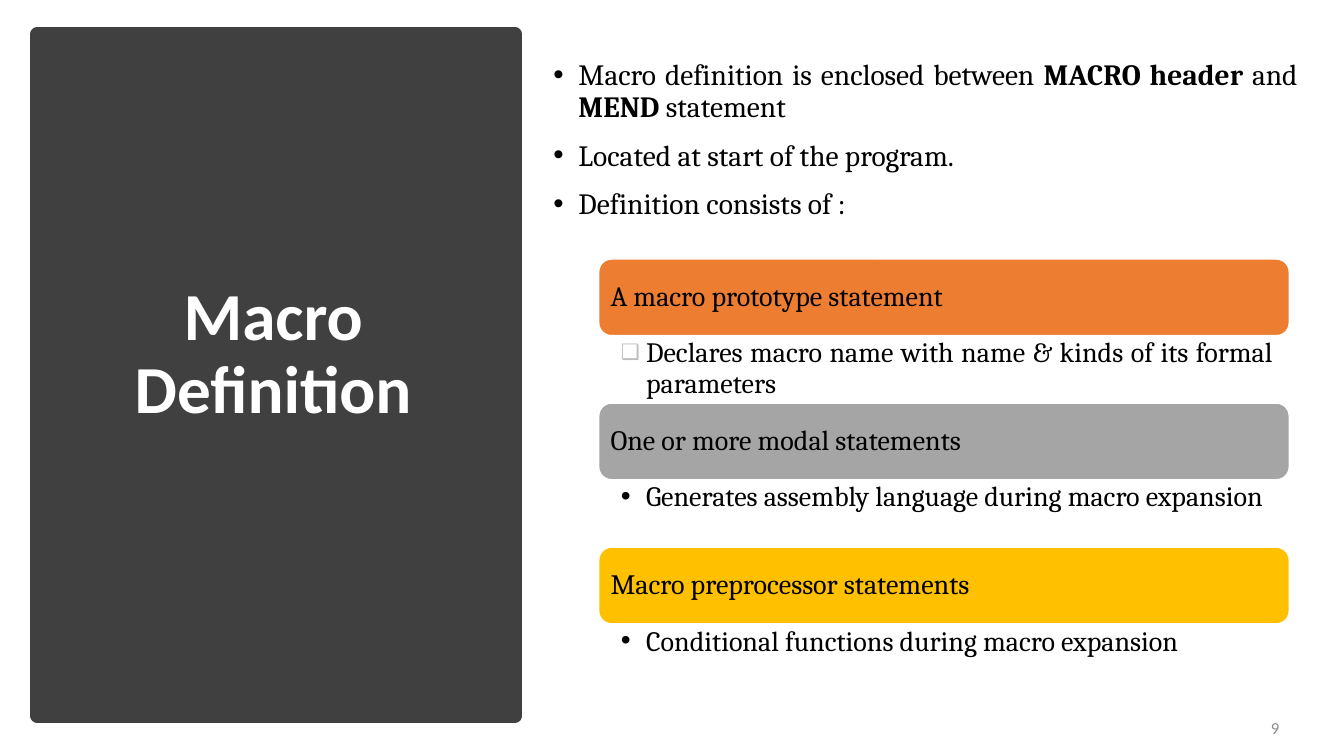
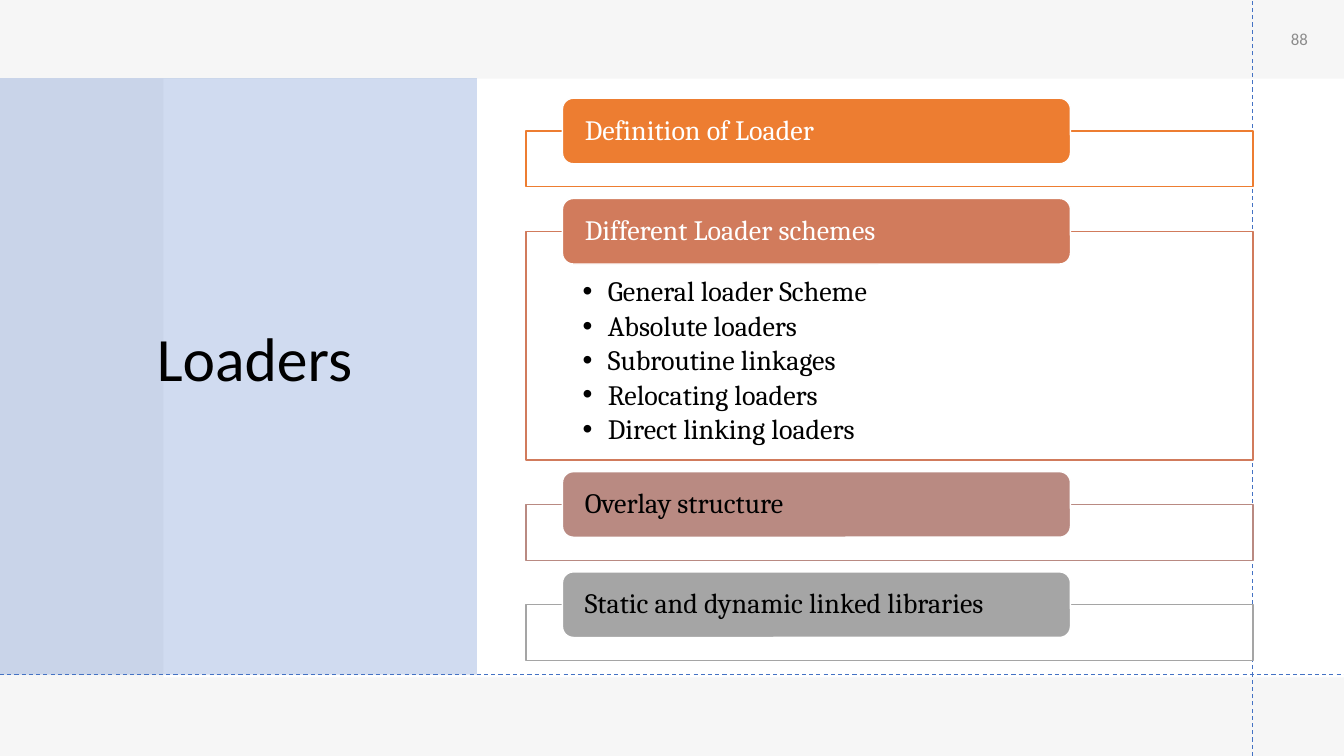
from dataclasses import dataclass

from lxml import etree
from pptx import Presentation
from pptx.dml.color import RGBColor
from pptx.enum.dml import MSO_LINE
from pptx.enum.shapes import MSO_CONNECTOR, MSO_SHAPE
from pptx.enum.text import MSO_ANCHOR, MSO_AUTO_SIZE, PP_ALIGN
from pptx.oxml.ns import qn
from pptx.util import Inches, Pt

RECT, ROUND = MSO_SHAPE.RECTANGLE, MSO_SHAPE.ROUNDED_RECTANGLE
STRAIGHT, DASH = MSO_CONNECTOR.STRAIGHT, MSO_LINE.DASH
TOP, MIDDLE = MSO_ANCHOR.TOP, MSO_ANCHOR.MIDDLE
LEFT, CENTER, RIGHT, JUST = PP_ALIGN.LEFT, PP_ALIGN.CENTER, PP_ALIGN.RIGHT, PP_ALIGN.JUSTIFY
NO_FIT = MSO_AUTO_SIZE.NONE
TITLE_ONLY = 5


@dataclass(frozen=True)
class Theme:
    head: str = "Calibri"
    body: str = "Cambria"
    white: str = "FFFFFF"
    black: str = "000000"
    dark: str = "404040"
    blue: str = "4472C4"
    pale: str = "E7E6E6"
    dim: str = "8C8C8C"
    mark: str = "BDBDBD"
    orange: str = "ED7D31"
    gray: str = "A5A5A5"
    gold: str = "FFC000"
    clay: str = "D17B5C"
    rose: str = "B98A82"
    large: int = 48
    big: int = 44
    lead: int = 21
    text: int = 20
    small: int = 12


THEME = Theme()
DOT = {"sign": "•"}
SQUARE = {"sign": "❑", "color": THEME.mark, "scale": 76}


def apply(target, values):
    for name, value in values.items():
        setattr(target, name, value)


def pads(left, top, right, bottom):
    names = ("margin_left", "margin_top", "margin_right", "margin_bottom")
    return {name: Inches(pad) for name, pad in zip(names, (left, top, right, bottom))}


class Deck:
    def __init__(self):
        self.show = Presentation()
        apply(self.show, {"slide_width": Inches(13.33), "slide_height": Inches(7.5)})
        self.slide = None

    def start(self):
        self.slide = self.show.slides.add_slide(self.show.slide_layouts[TITLE_ONLY])

    def place(self, *shares):
        sides = (self.show.slide_width, self.show.slide_height) * 2
        return [int(side * share / 100) for side, share in zip(sides, shares)]

    def box(self, spot, fill, line=None, width=1, form=RECT, alpha=None):
        shape = self.slide.shapes.add_shape(form, *self.place(*spot))
        shape.shadow.inherit = False
        shape.fill.solid()
        shape.fill.fore_color.rgb = RGBColor.from_string(fill)
        if alpha:
            color = shape.element.spPr.find(".//" + qn("a:srgbClr"))
            etree.SubElement(color, qn("a:alpha"), val=str(alpha * 1000))
        if line:
            shape.line.color.rgb = RGBColor.from_string(line)
            shape.line.width = Pt(width)
        else:
            shape.line.fill.background()
        return shape

    def words(self, shape, lines, font, size, color, bold=False, anchor=TOP,
              frame=None, para=None, bullet=None):
        space = shape.text_frame
        apply(space, {"word_wrap": True, "auto_size": NO_FIT,
                      "vertical_anchor": anchor, **(frame or {})})
        for spot, line in enumerate(lines):
            item = space.add_paragraph() if spot else space.paragraphs[0]
            apply(item, {"alignment": LEFT, "line_spacing": 0.9, **(para or {})})
            if bullet:
                self.bullet(item, **bullet)
            for turn, part in enumerate(line.split("*")):
                run = item.add_run()
                run.text = part
                apply(run.font, {"name": font, "size": Pt(size),
                                 "bold": bold or turn % 2 == 1})
                run.font.color.rgb = RGBColor.from_string(color)

    def bullet(self, item, sign, color=None, scale=None):
        props = item._p.get_or_add_pPr()
        props.set("marL", str(Inches(0.25)))
        props.set("indent", str(-Inches(0.25)))
        if color:
            tint = etree.SubElement(props, qn("a:buClr"))
            etree.SubElement(tint, qn("a:srgbClr"), val=color)
        if scale:
            etree.SubElement(props, qn("a:buSzPct"), val=str(scale * 1000))
        etree.SubElement(props, qn("a:buFont"), typeface="Arial")
        etree.SubElement(props, qn("a:buChar"), char=sign)

    def title(self, spot, text, size, color, bold=False):
        shape = self.slide.shapes.title
        apply(shape, dict(zip(("left", "top", "width", "height"), self.place(*spot))))
        shape.element.getparent().append(shape.element)
        self.words(shape, [text], THEME.head, size, color, bold, MIDDLE,
                   para={"alignment": CENTER})

    def text(self, spot, lines, font, size, color, **style):
        shape = self.slide.shapes.add_textbox(*self.place(*spot))
        self.words(shape, lines, font, size, color, **style)

    def number(self, spot, text, align):
        self.text(spot, [text], THEME.head, THEME.small, THEME.dim, anchor=MIDDLE,
                  para={"alignment": align, "line_spacing": 1.0, "space_after": Pt(6)})

    def label(self, spot, text, fill, color, frame, align=LEFT):
        shape = self.box(spot, fill, THEME.white, form=ROUND)
        self.words(shape, [text], THEME.body, THEME.text, color, anchor=MIDDLE,
                   frame=frame, para={"alignment": align})

    def guide(self, *ends):
        line = self.slide.shapes.add_connector(STRAIGHT, *self.place(*ends))
        line.line.color.rgb = RGBColor.from_string(THEME.blue)
        apply(line.line, {"width": Pt(0.75), "dash_style": DASH})
        etree.SubElement(line.element.spPr, qn("a:effectLst"))


def macro(deck):
    deck.start()
    deck.box((2.78, 4.53, 35.55, 90.13), THEME.dark, THEME.dark, 10)
    deck.title((6.08, 10.8, 28.5, 72.4), "Macro Definition", THEME.large, THEME.white, True)
    deck.number((89.63, 93.6, 6.3, 5.33), "9", RIGHT)
    deck.text((40.43, 7.33, 56.85, 24.67), [
        "Macro definition is enclosed between *MACRO header *and *MEND* statement",
        "Located at start of the program.",
        "Definition consists of :",
    ], THEME.body, THEME.lead, THEME.black, bullet=DOT,
        para={"alignment": JUST, "space_before": Pt(10), "space_after": Pt(2)})

    left, top, width, bar, note = 44.55, 34.27, 51.38, 10.13, 8.93
    parts = [
        ("A macro prototype statement", THEME.orange, SQUARE,
         "Declares macro name with name & kinds of its formal parameters"),
        ("One or more modal statements", THEME.gray, DOT,
         "Generates assembly language during macro expansion"),
        ("Macro preprocessor statements", THEME.gold, DOT,
         "Conditional functions during macro expansion"),
    ]
    for row, (name, fill, bullet, detail) in enumerate(parts):
        y = top + row * (bar + note)
        deck.label((left, y, width, bar), name, fill, THEME.black,
                   pads(0.08, 0.08, 0.08, 0.08), JUST)
        deck.text((left, y + bar, width, note), [detail], THEME.body, THEME.text,
                  THEME.black, frame=pads(0.22, 0.03, 0.16, 0.03),
                  para={"alignment": JUST}, bullet=bullet)


def loaders(deck):
    deck.start()
    deck.box((0, 0, 100, 100), THEME.pale, alpha=35)
    deck.box((12.15, 10.4, 87.85, 79.2), THEME.white)
    deck.box((0, 10.33, 35.48, 78.93), THEME.blue, alpha=25)
    deck.title((4.13, 9.87, 29.63, 75.87), "Loaders", THEME.big, THEME.black)
    deck.guide(93.2, 100, 93.2, 0)
    deck.number((93.35, 0, 6.65, 10.27), "88", CENTER)
    deck.guide(0, 89.2, 100, 89.2)

    bar, low, tall, gap, y = 8.67, 7.39, 30.27, 5.87, 17.33
    kinds = ["General loader Scheme", "Absolute loaders", "Subroutine linkages",
             "Relocating loaders", "Direct linking loaders"]
    parts = [
        ("Definition of Loader", THEME.orange, THEME.white, []),
        ("Different Loader schemes", THEME.clay, THEME.white, kinds),
        ("Overlay structure", THEME.rose, THEME.black, []),
        ("Static and dynamic linked libraries", THEME.gray, THEME.black, []),
    ]
    for name, fill, color, lines in parts:
        height = tall if lines else low
        frame = deck.box((39.15, y, 54.08, height), THEME.white, fill, alpha=90)
        if lines:
            deck.words(frame, lines, THEME.body, THEME.text, THEME.black,
                       frame=pads(0.56, 0.46, 0.56, 0.16),
                       para={"space_after": Pt(3)}, bullet=DOT)
        deck.label((41.85, y - bar / 2, 37.8, bar), name, fill, color,
                   pads(0.19, 0, 0.19, 0))
        y += height + gap


def main():
    deck = Deck()
    macro(deck)
    loaders(deck)
    deck.show.save("out.pptx")


if __name__ == "__main__":
    main()
